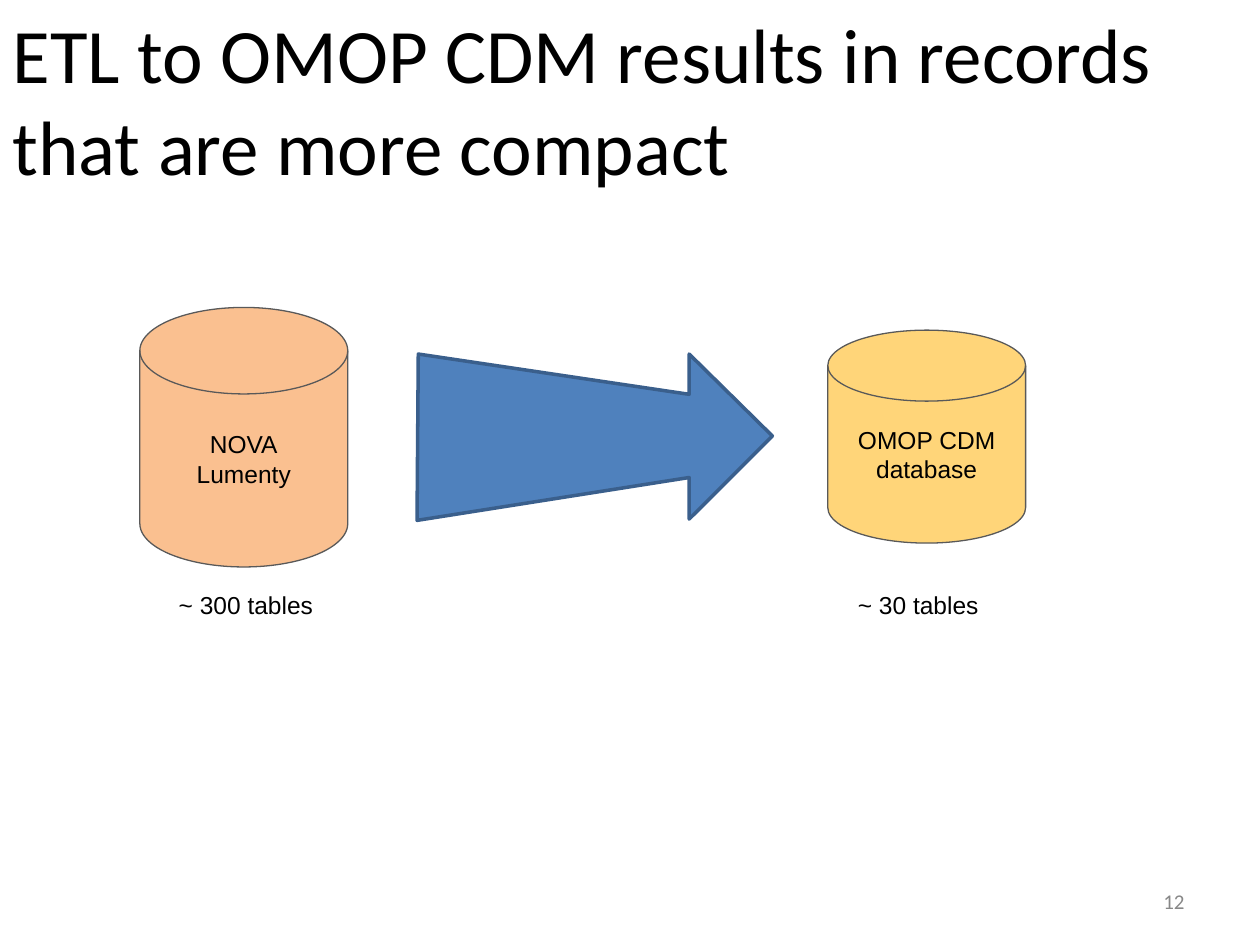
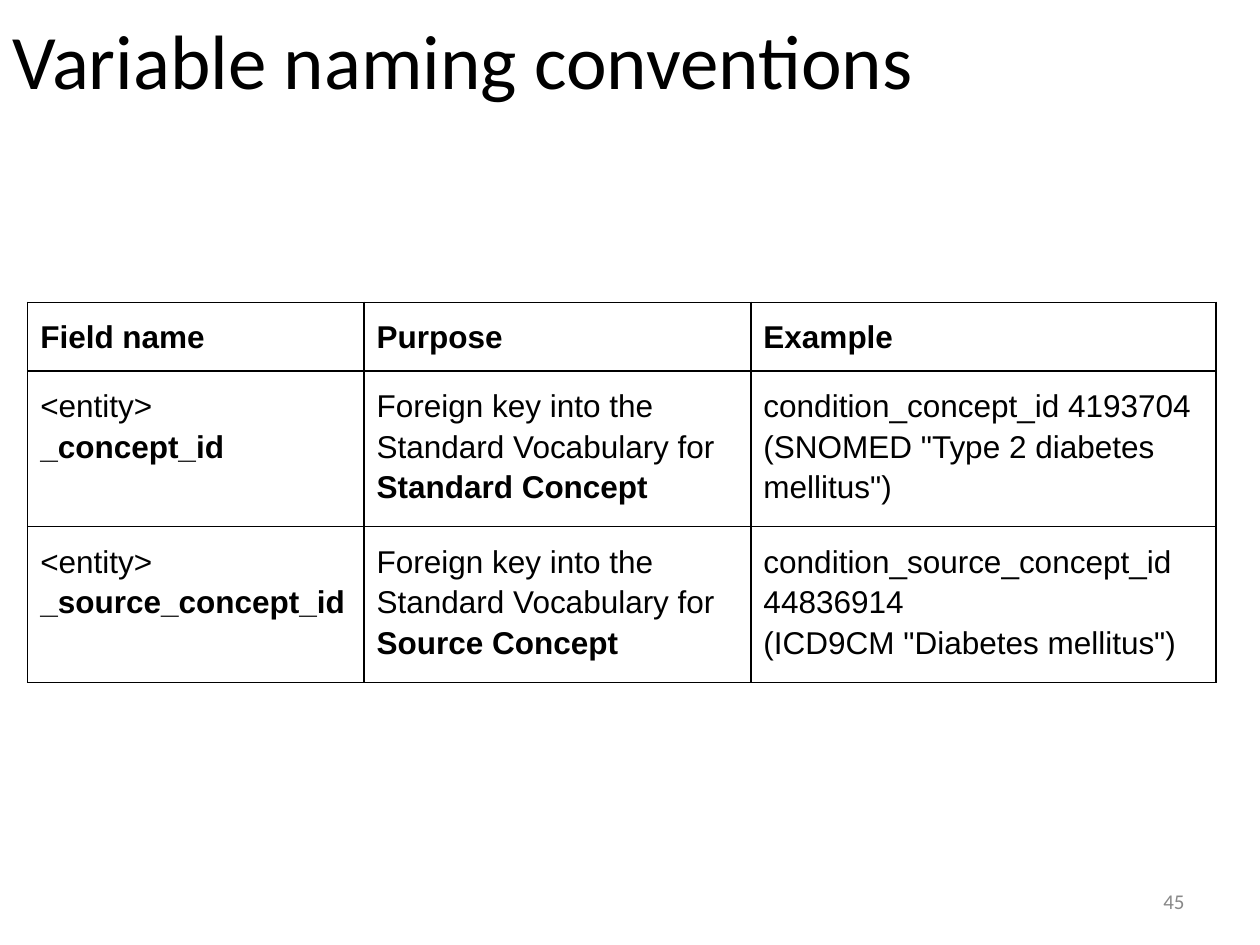
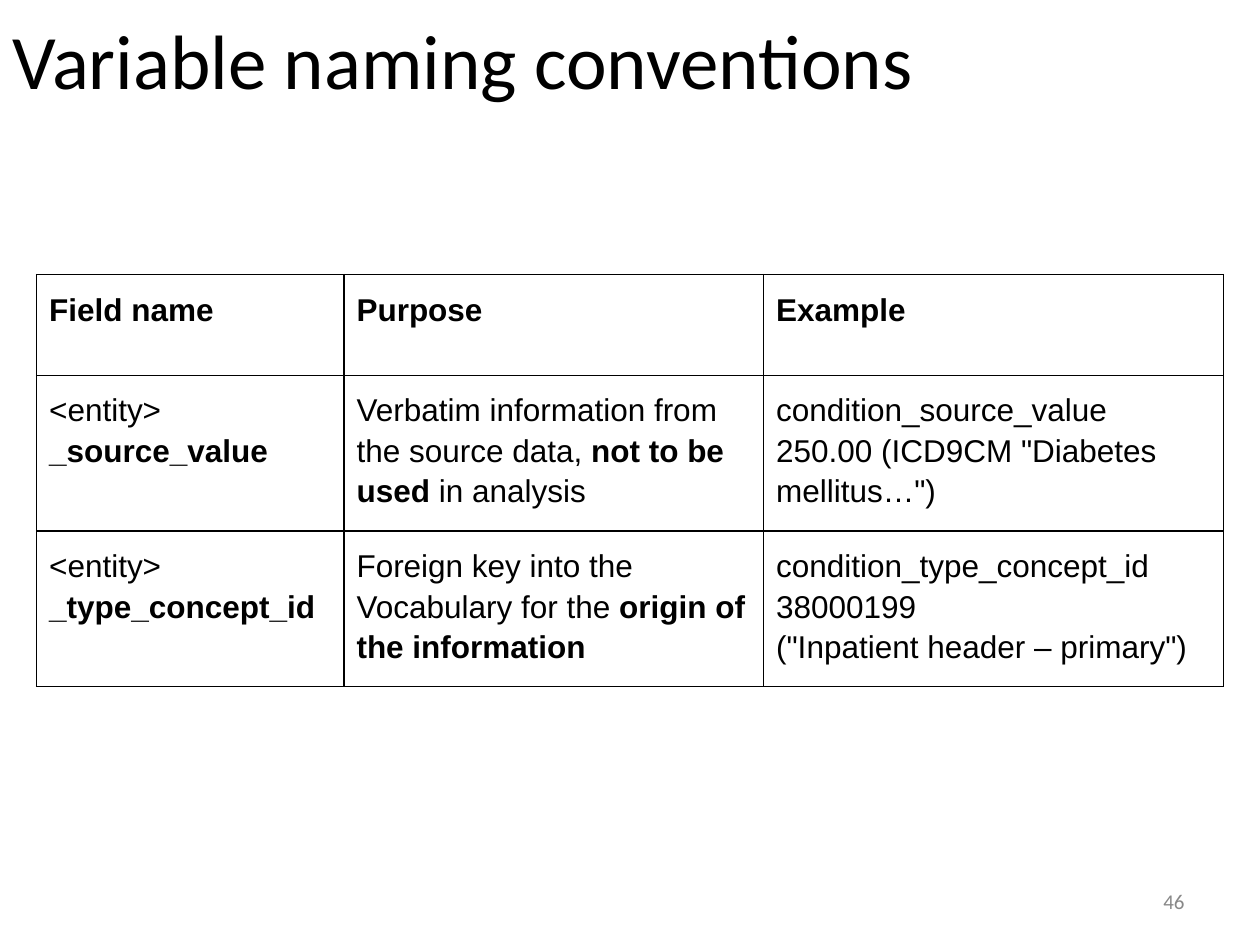
import pptx
import pptx.dml.color
import pptx.enum.shapes
import pptx.enum.text
import pptx.oxml
import pptx.oxml.ns
import pptx.util

Inches = pptx.util.Inches
Pt = pptx.util.Pt
RGBColor = pptx.dml.color.RGBColor
ALIGN = pptx.enum.text.PP_ALIGN
ANCHOR = pptx.enum.text.MSO_ANCHOR

# Colours and fonts
BLACK = RGBColor(0x00, 0x00, 0x00)
GREY = RGBColor(0x88, 0x88, 0x88)
OUTLINE = RGBColor(0x59, 0x59, 0x59)
ORANGE = RGBColor(0xFA, 0xC0, 0x90)
YELLOW = RGBColor(0xFF, 0xD5, 0x79)
BLUE = RGBColor(0x4F, 0x81, 0xBD)
DARK_BLUE = RGBColor(0x3A, 0x5F, 0x8C)
HEAD_FONT, BODY_FONT = "Calibri", "Arial"


def write(tf, text, size=14, font=BODY_FONT, color=BLACK, align=ALIGN.LEFT,
          anchor=ANCHOR.TOP, spacing=None, inset=0.1):
    """Fill a text frame: a newline starts a paragraph, ** toggles bold."""
    tf.word_wrap = True
    tf.vertical_anchor = anchor
    tf.margin_left = tf.margin_right = Inches(0.1)
    tf.margin_top = tf.margin_bottom = Inches(inset)
    for i, line in enumerate(text.split("\n")):
        p = tf.add_paragraph() if i else tf.paragraphs[0]
        p.alignment = align
        if spacing:
            p.line_spacing = spacing
        for j, part in enumerate(line.split("**")):
            if part:
                r = p.add_run()
                r.text = part
                r.font.name, r.font.size = font, Pt(size)
                r.font.bold = j % 2 == 1
                r.font.color.rgb = color


class Deck:
    """Shared style and the slide being built."""

    def __init__(self):
        self.prs = pptx.Presentation()
        self.prs.slide_width, self.prs.slide_height = Inches(10), Inches(7.5)
        self.s = None

    def slide(self, title, number, inset=0.1):
        self.s = self.prs.slides.add_slide(self.prs.slide_layouts[5])
        sp = self.s.shapes.title
        sp.left, sp.top, sp.width, sp.height = 0, 0, Inches(9.5), Inches(1.25)
        sp.text_frame.auto_size = pptx.enum.text.MSO_AUTO_SIZE.NONE
        write(sp.text_frame, title, size=44, font=HEAD_FONT, inset=inset)
        self.text(number, 7.17, 6.95, 2.33, 0.4, size=12, font=HEAD_FONT,
                  color=GREY, align=ALIGN.RIGHT, anchor=ANCHOR.MIDDLE, inset=0.05)

    def text(self, text, x, y, w, h, **fmt):
        sp = self.s.shapes.add_textbox(Inches(x), Inches(y), Inches(w), Inches(h))
        write(sp.text_frame, text, **fmt)

    def paint(self, sp, fill, line, width):
        sp.shadow.inherit = False
        sp.fill.solid()
        sp.fill.fore_color.rgb = fill
        sp.line.color.rgb = line
        sp.line.width = Pt(width)

    def database(self, text, x, y, w, h, fill):
        kind = pptx.enum.shapes.MSO_SHAPE.FLOWCHART_MAGNETIC_DISK
        sp = self.s.shapes.add_shape(kind, Inches(x), Inches(y), Inches(w), Inches(h))
        self.paint(sp, fill, OUTLINE, 0.75)
        write(sp.text_frame, text, align=ALIGN.CENTER, anchor=ANCHOR.MIDDLE)

    def outline(self, points, fill, line, width):
        start, *rest = [(Inches(x), Inches(y)) for x, y in points]
        builder = self.s.shapes.build_freeform(*start)
        builder.add_line_segments(rest, close=True)
        self.paint(builder.convert_to_shape(), fill, line, width)

    def border(self, cell):
        tc_pr = cell._tc.get_or_add_tcPr()
        for side in ("lnL", "lnR", "lnT", "lnB"):
            tc_pr.append(pptx.oxml.parse_xml(
                f'<a:{side} {pptx.oxml.ns.nsdecls("a")} w="{Pt(1)}"><a:solidFill>'
                f'<a:srgbClr val="{BLACK}"/></a:solidFill></a:{side}>'))

    def table(self, x, y, widths, heights, rows):
        rows = [["**Field name**", "**Purpose**", "**Example**"], *rows]
        frame = self.s.shapes.add_table(
            len(rows), len(widths), Inches(x), Inches(y),
            Inches(sum(widths)), Inches(sum(heights)))
        tbl = frame.table
        tbl.first_row = tbl.horz_banding = False
        for col, width in zip(tbl.columns, widths):
            col.width = Inches(width)
        for i, (height, texts) in enumerate(zip(heights, rows)):
            tbl.rows[i].height = Inches(height)
            for cell, text in zip(tbl.rows[i].cells, texts):
                self.border(cell)
                cell.fill.background()
                write(cell.text_frame, text, size=18, spacing=1.15)
                cell.vertical_anchor = ANCHOR.TOP
                cell.margin_left = cell.margin_right = Inches(0.1)
                cell.margin_top = cell.margin_bottom = Inches(0.1)


def main():
    deck = Deck()

    # Source and target databases
    deck.slide("ETL to OMOP CDM results in records that are more compact", "12",
               inset=0.05)
    for label, x in (("~ 300 tables", 1.32), ("~ 30 tables", 6.71)):
        deck.text(label, x, 4.58, 1.43, 0.94)
    deck.database("NOVA\nLumenty", 1.11, 2.44, 1.65, 2.06, ORANGE)
    deck.database("OMOP CDM database", 6.57, 2.62, 1.57, 1.69, YELLOW)

    # Tapering arrow between them
    deck.outline([(3.32, 2.81), (5.47, 3.13), (5.47, 2.81), (6.13, 3.46),
                  (5.47, 4.12), (5.47, 3.79), (3.31, 4.13)], BLUE, DARK_BLUE, 2)

    # Concept fields
    deck.slide("Variable naming conventions", "45")
    key = "Foreign key into the Standard Vocabulary for "
    deck.table(0.22, 2.4, [2.67, 3.07, 3.69], [0.52, 1.16, 1.16], [
        ["<entity>\n**_concept_id**", key + "**Standard Concept**",
         'condition_concept_id 4193704 (SNOMED "Type 2 diabetes mellitus")'],
        ["<entity>\n**_source_concept_id**", key + "**Source Concept**",
         'condition_source_concept_id 44836914\n(ICD9CM "Diabetes mellitus")'],
    ])

    # Source value and type fields
    deck.slide("Variable naming conventions", "46")
    deck.table(0.29, 2.18, [2.44, 3.33, 3.65], [0.8, 1.16, 1.16], [
        ["<entity>\n**_source_value**",
         "Verbatim information from the source data, **not to be used **in analysis",
         'condition_source_value 250.00 (ICD9CM "Diabetes mellitus…")'],
        ["<entity>\n**_type_concept_id**",
         "Foreign key into the Vocabulary for the **origin of the information**",
         'condition_type_concept_id 38000199\n("Inpatient header – primary")'],
    ])

    deck.prs.save("out.pptx")


if __name__ == "__main__":
    main()
